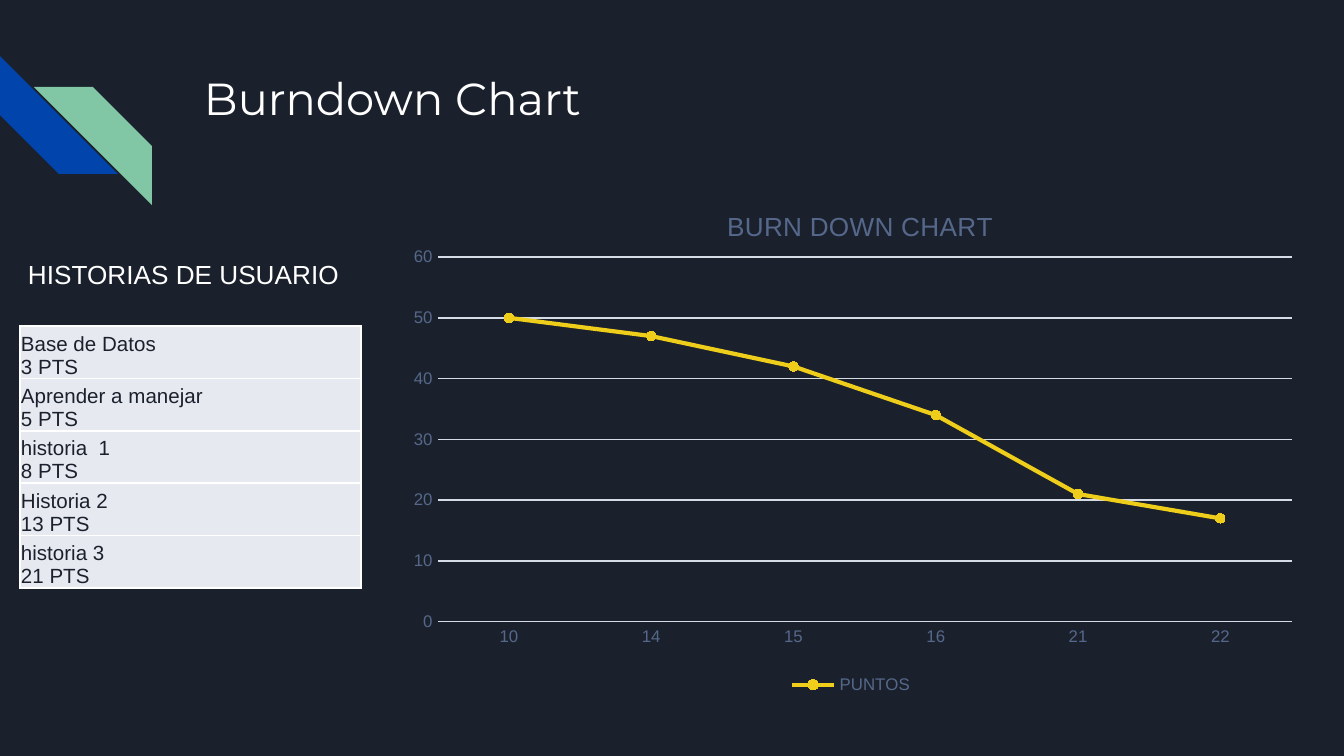
from lxml import etree
from pptx import Presentation
from pptx.chart.data import CategoryChartData
from pptx.dml.color import RGBColor
from pptx.enum.chart import XL_CHART_TYPE, XL_LEGEND_POSITION, XL_MARKER_STYLE, XL_TICK_MARK
from pptx.enum.shapes import MSO_SHAPE
from pptx.enum.text import MSO_ANCHOR
from pptx.oxml import parse_xml
from pptx.oxml.ns import nsdecls, qn
from pptx.util import Pt

LINE = XL_CHART_TYPE.LINE_MARKERS
BELOW = XL_LEGEND_POSITION.BOTTOM
CIRCLE = XL_MARKER_STYLE.CIRCLE
NO_TICK = XL_TICK_MARK.NONE
STRIPE = MSO_SHAPE.DIAGONAL_STRIPE
BOTTOM = MSO_ANCHOR.BOTTOM

NAVY = RGBColor(0x1B, 0x21, 0x2C)
BLUE = RGBColor(0x01, 0x45, 0xAC)
GREEN = RGBColor(0x82, 0xC7, 0xA5)
WHITE = RGBColor(0xFF, 0xFF, 0xFF)
SLATE = RGBColor(0x55, 0x68, 0x8B)
SILVER = RGBColor(0xD6, 0xDC, 0xE6)
YELLOW = RGBColor(0xEE, 0xCE, 0x1A)
PALE = RGBColor(0xE7, 0xE9, 0xF1)

SCALE = 914400 / 134.4


def box(*sides):
    """Turn pixel lengths into EMU."""
    return [round(side * SCALE) for side in sides]


def style(font, size, color, name="Arial"):
    """Set size, colour and typeface of a font."""
    font.size, font.name, font.bold = Pt(size), name, False
    font.color.rgb = color


deck = Presentation()
deck.slide_width, deck.slide_height = box(1344, 756)
slide = deck.slides.add_slide(deck.slide_layouts[6])
slide.background.fill.solid()
slide.background.fill.fore_color.rgb = NAVY
shapes = slide.shapes

# Corner stripes
for left, top, color in [(0, 56, BLUE), (34, 87, GREEN)]:
    stripe = shapes.add_shape(STRIPE, *box(left, top, 118, 118))
    stripe.shadow.inherit = False
    stripe.fill.solid()
    stripe.fill.fore_color.rgb = color
    stripe.line.fill.background()
    if color == BLUE:
        stripe.rotation = 270
    else:
        stripe._element.spPr.xfrm.set("flipH", "1")

# Headings
heads = [
    ("Burndown Chart", (191, 58, 1035, 134), 24, "Montserrat", 13, True),
    ("HISTORIAS DE USUARIO", (15, 251, 341, 46), 14, "Arial", 7, False),
]
for text, place, size, face, inset, wrap in heads:
    frame = shapes.add_textbox(*box(*place)).text_frame
    frame.word_wrap = wrap
    frame.margin_top = frame.margin_bottom = box(inset)[0]
    frame.margin_left = frame.margin_right = box(13)[0]
    frame.text = text
    style(frame.paragraphs[0].runs[0].font, size, WHITE, face)

# Burndown chart
data = CategoryChartData()
data.categories = ["10", "14", "15", "16", "21", "22"]
data.add_series("PUNTOS", [50, 47, 42, 34, 21, 17])
chart = shapes.add_chart(LINE, *box(392, 179, 918, 521), data).chart
style(chart.font, 10, NAVY)

chart.has_title = True
title = chart.chart_title
title.text_frame.text = "BURN DOWN CHART"
style(title.text_frame.paragraphs[0].runs[0].font, 14, SLATE)
title.include_in_layout = False

chart.has_legend = True
chart.legend.position = BELOW
chart.legend.include_in_layout = False
style(chart.legend.font, 9, SLATE)

dates, points = chart.category_axis, chart.value_axis
for axis in (dates, points):
    axis.major_tick_mark = axis.minor_tick_mark = NO_TICK
    style(axis.tick_labels.font, 9, SLATE)
points.minimum_scale, points.maximum_scale, points.major_unit = 0, 60, 10
points.format.line.fill.background()
for line in (dates.format.line, points.major_gridlines.format.line):
    line.color.rgb = SILVER
    line.width = Pt(0.75)

series = chart.plots[0].series[0]
series.smooth = False
series.format.line.color.rgb = YELLOW
series.format.line.width = Pt(2.25)
mark = series.marker
mark.style, mark.size = CIRCLE, 5
mark.format.fill.solid()
mark.format.fill.fore_color.rgb = YELLOW
mark.format.line.color.rgb = YELLOW

# Fixed places of the chart title and the plot, as shares of the chart
plot = chart._chartSpace.chart.plotArea
spots = [
    (title._element, {"xMode": "edge", "yMode": "edge", "x": 0.36, "y": 0.05}),
    (plot, {"layoutTarget": "inner", "xMode": "edge", "yMode": "edge",
            "x": 0.05, "y": 0.15, "w": 0.93, "h": 0.7}),
]
for part, values in spots:
    for old in part.findall(qn("c:layout")):
        part.remove(old)
    layout = parse_xml(f"<c:layout {nsdecls('c')}><c:manualLayout/></c:layout>")
    for tag, value in values.items():
        etree.SubElement(layout[0], qn("c:" + tag)).set("val", str(value))
    text = part.find(qn("c:tx"))
    part.insert(0 if text is None else 1, layout)

# User stories
tales = [("Base de Datos", 3), ("Aprender a manejar", 5), ("historia  1", 8),
         ("Historia 2", 13), ("historia 3", 21)]
table = shapes.add_table(len(tales), 1, *box(20, 326, 341, 262)).table
table.first_row = table.horz_banding = False
for cell, (name, score) in zip(table.iter_cells(), tales):
    cell.text_frame.text = f"{name}\v{score} PTS"
    for run in cell.text_frame.paragraphs[0].runs:
        style(run.font, 11, NAVY)
    cell.vertical_anchor = BOTTOM
    cell.margin_left = cell.margin_right = cell.margin_top = box(1)[0]
    cell.margin_bottom = 0
    for side in "LRTB":
        cell._tc.get_or_add_tcPr().append(parse_xml(
            f'<a:ln{side} {nsdecls("a")} w="{Pt(1)}"><a:solidFill>'
            f'<a:srgbClr val="{WHITE}"/></a:solidFill></a:ln{side}>'))
    cell.fill.solid()
    cell.fill.fore_color.rgb = PALE

deck.save("out.pptx")
